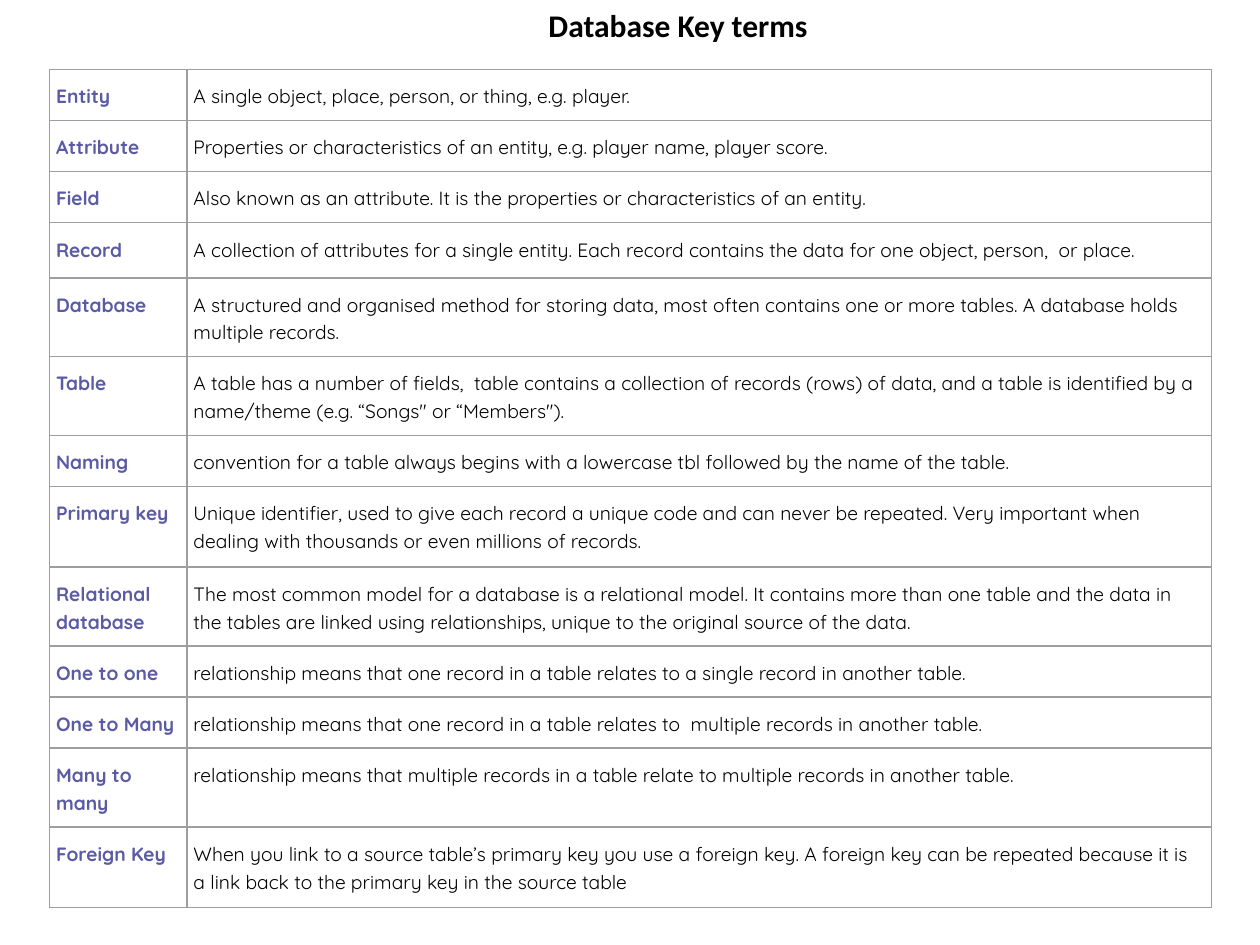
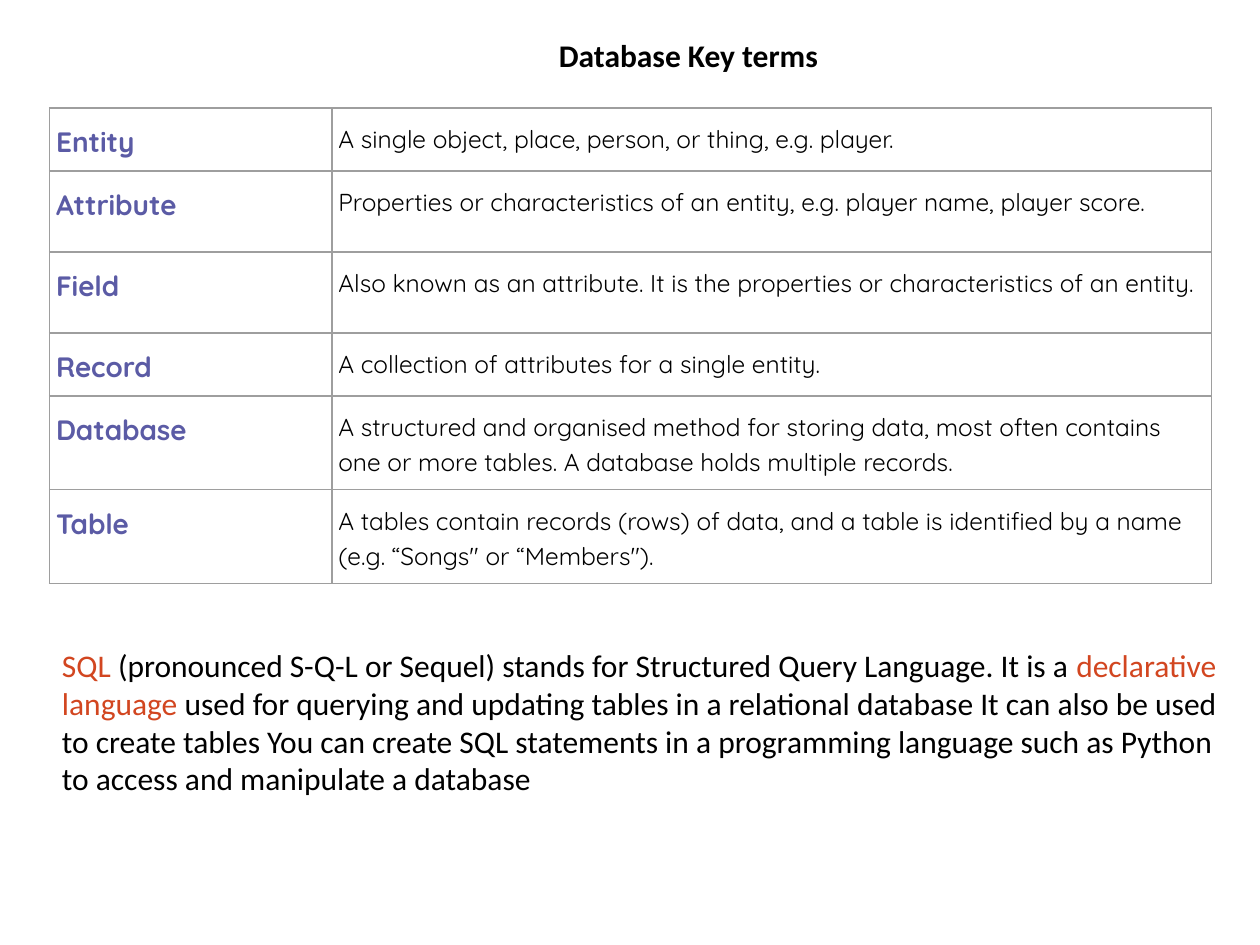
from dataclasses import dataclass
from typing import Any

import pptx
import pptx.dml.color
import pptx.enum.text
import pptx.oxml
import pptx.oxml.ns
import pptx.util

Cm = pptx.util.Cm
Pt = pptx.util.Pt
RGBColor = pptx.dml.color.RGBColor
TITLE_ONLY = 5


@dataclass(frozen=True)
class Theme:
    text: str = "000000"
    term: str = "5B5BA5"
    accent: str = "D24620"
    border: str = "9E9E9E"
    border_pt: float = 1
    heading_font: str = "Calibri"
    table_font: str = "Quicksand"
    heading_pt: int = 18
    line_spacing: float = 1.15


@dataclass(frozen=True)
class Term:
    name: str
    definition: str
    height: float  # cm


@dataclass(frozen=True)
class TermTable:
    """Lengths are in cm, type sizes in points."""
    top: float
    widths: tuple[float, float]
    name_pt: int
    definition_pt: int
    terms: list[Term]


@dataclass(frozen=True)
class Run:
    text: str
    color: str


THEME = Theme()
TITLE = "Database Key terms"
TABLE_LEFT = 1.0
CELL_FORMAT = {
    "margin_left": Cm(0.13), "margin_right": Cm(0.13),
    "margin_top": Cm(0.23), "margin_bottom": Cm(0.23),
    "vertical_anchor": pptx.enum.text.MSO_ANCHOR.TOP,
}
FRAME_FORMAT = {
    "word_wrap": True,
    "auto_size": pptx.enum.text.MSO_AUTO_SIZE.SHAPE_TO_FIT_TEXT,
    "vertical_anchor": pptx.enum.text.MSO_ANCHOR.TOP,
}

ENTITY = "A single object, place, person, or thing, e.g. player."
ATTRIBUTE = "Properties or characteristics of an entity, e.g. player name, player score."
FIELD = "Also known as an attribute. It is the properties or characteristics of an entity."
RECORD = "A collection of attributes for a single entity."
DATABASE = ("A structured and organised method for storing data, most often contains "
            "one or more tables. A database holds multiple records.")

ALL_TERMS = TermTable(1.4, (2.77, 20.65), 11, 11, [
    Term("Entity", ENTITY, 1.03),
    Term("Attribute", ATTRIBUTE, 1.03),
    Term("Field", FIELD, 1.03),
    Term("Record", RECORD + " Each record contains the data for one object, "
         "person,  or place.", 1.11),
    Term("Database", DATABASE, 1.59),
    Term("Table", "A table has a number of fields,  table contains a collection of "
         "records (rows) of data, and a table is identified by a name/theme "
         "(e.g. “Songs\" or “Members\").", 1.59),
    Term("Naming", "convention for a table always begins with a lowercase tbl "
         "followed by the name of the table.", 1.03),
    Term("Primary key", "Unique identifier, used to give each record a unique code "
         "and can never be repeated. Very important when dealing with thousands or "
         "even millions of records.", 1.62),
    Term("Relational database", "The most common model for a database is a relational "
         "model. It contains more than one table and the data in the tables are linked "
         "using relationships, unique to the original source of the data.", 1.59),
    Term("One to one", "relationship means that one record in a table relates to a "
         "single record in another table.", 1.03),
    Term("One to Many", "relationship means that one record in a table relates to  "
         "multiple records in another table.", 1.03),
    Term("Many to many", "relationship means that multiple records in a table relate "
         "to multiple records in another table.", 1.59),
    Term("Foreign Key", "When you link to a source table’s primary key you use a "
         "foreign key. A foreign key can be repeated because it is a link back to the "
         "primary key in the source table", 1.62),
])

MAIN_TERMS = TermTable(2.18, (5.69, 17.73), 16, 14, [
    Term("Entity", ENTITY, 1.27),
    Term("Attribute", ATTRIBUTE, 1.63),
    Term("Field", FIELD, 1.63),
    Term("Record", RECORD, 1.27),
    Term("Database", DATABASE, 1.89),
    Term("Table", "A tables contain records (rows) of data, and a table is identified "
         "by a name (e.g. “Songs\" or “Members\").", 1.89),
])

SQL_RUNS = [
    Run("SQL ", THEME.accent),
    Run("(pronounced S-Q-L or Sequel) stands for Structured Query Language. It is a ",
        THEME.text),
    Run("declarative language ", THEME.accent),
    Run("used for querying and updating tables in a relational database It can also be "
        "used to create tables You can create SQL statements in a programming language "
        "such as Python to access and manipulate a database", THEME.text),
]


def set_format(target: Any, values: dict[str, Any]) -> None:
    for name, value in values.items():
        setattr(target, name, value)


def add_run(p: Any, text: str, color: str, font: str, size: int, bold: bool) -> None:
    r = p.add_run()
    r.text = text
    set_format(r.font, {"name": font, "size": Pt(size), "bold": bold})
    r.font.color.rgb = RGBColor.from_string(color)


def add_titled_slide(prs: Any, left: float, top: float) -> Any:
    slide = prs.slides.add_slide(prs.slide_layouts[TITLE_ONLY])
    sp = slide.shapes.title
    set_format(sp, {"left": Cm(left), "top": Cm(top),
                    "width": Cm(11.5), "height": Cm(1.03)})
    set_format(sp.text_frame, FRAME_FORMAT)
    p = sp.text_frame.paragraphs[0]
    p.alignment = pptx.enum.text.PP_ALIGN.CENTER
    add_run(p, TITLE, THEME.text, THEME.heading_font, THEME.heading_pt, True)
    return slide


def add_borders(cell: Any) -> None:
    tc_pr = cell._tc.get_or_add_tcPr()
    for side in ("lnL", "lnR", "lnT", "lnB"):
        tc_pr.append(pptx.oxml.parse_xml(
            f'<a:{side} {pptx.oxml.ns.nsdecls("a")} w="{Pt(THEME.border_pt)}">'
            f'<a:solidFill><a:srgbClr val="{THEME.border}"/></a:solidFill></a:{side}>'))


def fill_cell(cell: Any, text: str, color: str, size: int, bold: bool) -> None:
    set_format(cell, CELL_FORMAT)
    add_borders(cell)
    cell.fill.background()
    p = cell.text_frame.paragraphs[0]
    p.line_spacing = THEME.line_spacing
    add_run(p, text, color, THEME.table_font, size, bold)


def add_term_table(slide: Any, spec: TermTable) -> None:
    height = sum(term.height for term in spec.terms)
    table = slide.shapes.add_table(
        len(spec.terms), 2, Cm(TABLE_LEFT), Cm(spec.top),
        Cm(sum(spec.widths)), Cm(height)).table
    set_format(table, {"first_row": False, "horz_banding": False})
    for column, width in zip(table.columns, spec.widths):
        column.width = Cm(width)
    for row, term in zip(table.rows, spec.terms):
        row.height = Cm(term.height)
        name, definition = row.cells
        fill_cell(name, term.name, THEME.term, spec.name_pt, True)
        fill_cell(definition, term.definition, THEME.text, spec.definition_pt, False)


def add_sql_note(slide: Any) -> None:
    sp = slide.shapes.add_textbox(Cm(TABLE_LEFT), Cm(12.9), Cm(24), Cm(3.33))
    set_format(sp.text_frame, FRAME_FORMAT)
    p = sp.text_frame.paragraphs[0]
    for run in SQL_RUNS:
        add_run(p, run.text, run.color, THEME.heading_font, THEME.heading_pt, False)


def main() -> None:
    prs = pptx.Presentation()
    set_format(prs, {"slide_width": Cm(25.4), "slide_height": Cm(19.05)})

    add_term_table(add_titled_slide(prs, 7.92, 0), ALL_TERMS)

    slide = add_titled_slide(prs, 8.13, 0.6)
    add_term_table(slide, MAIN_TERMS)
    add_sql_note(slide)

    prs.save("out.pptx")


if __name__ == "__main__":
    main()
